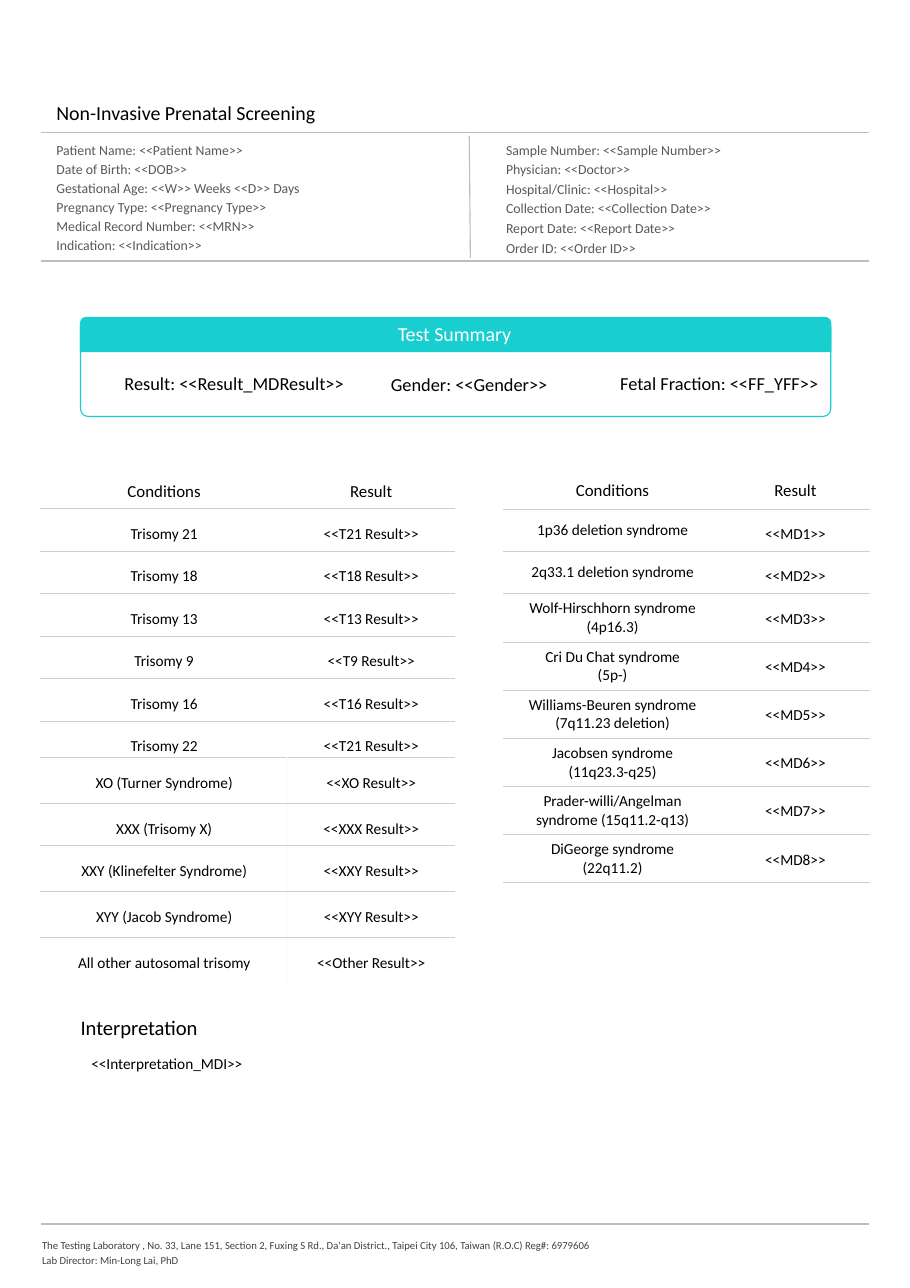
from dataclasses import dataclass
from typing import Any

import lxml.etree
import pptx
import pptx.dml.color
import pptx.enum.dml
import pptx.enum.shapes
import pptx.enum.text
import pptx.oxml.ns
import pptx.util

Pt = pptx.util.Pt
RGBColor = pptx.dml.color.RGBColor
Align = pptx.enum.text.PP_ALIGN
Anchor = pptx.enum.text.MSO_ANCHOR
Shape = pptx.enum.shapes.MSO_SHAPE
qn = pptx.oxml.ns.qn

BLACK = RGBColor(0x00, 0x00, 0x00)
WHITE = RGBColor(0xFF, 0xFF, 0xFF)
GRAY = RGBColor(0x59, 0x59, 0x59)
DARK = RGBColor(0x41, 0x41, 0x41)
RULE = RGBColor(0xBD, 0xBD, 0xBD)
GRID = RGBColor(0xCE, 0xCE, 0xCE)
FAINT = RGBColor(0xF9, 0xFA, 0xF9)
TEAL = RGBColor(0x18, 0xCE, 0xCF)

LEFT, RIGHT = 26.6, 568.1
PANEL, WIDE = 52.6, 490.3
PLAIN = (7.2, 3.6, 7.2, 3.6)
INSET = (0.9, 0.7, 0, 0)
ROOMY = (7.2, 7.2, 7.2, 7.2)


@dataclass
class Label:
    box: tuple[float, float, float, float]
    text: str
    size: float
    color: RGBColor = BLACK
    inset: tuple[float, float, float, float] = PLAIN
    align: Any = Align.LEFT
    spacing: float = 1.0
    before: float = 0
    wrap: bool = True


@dataclass
class Grid:
    left: float
    top: float
    widths: list[float]
    heights: list[float]
    rows: list[tuple[str, str]]
    middle: bool = False  # first column centred vertically
    faint: int = 99  # first row with a faint inner edge
    closed: bool = True  # last row has a visible bottom edge


def write(frame: Any, text: str, *, size: float, color: RGBColor = BLACK,
          align: Any = Align.LEFT, spacing: float = 1.0, before: float = 0) -> None:
    for n, line in enumerate(text.split("\n")):
        par = frame.paragraphs[0] if n == 0 else frame.add_paragraph()
        par.alignment = align
        par.line_spacing = spacing
        if n and before:
            par.space_before = Pt(before)
        run = par.add_run()
        run.text = line
        run.font.name = "Calibri"
        run.font.size = Pt(size)
        run.font.color.rgb = color


def set_inset(item: Any, inset: tuple[float, float, float, float]) -> None:
    item.margin_left, item.margin_top, item.margin_right, item.margin_bottom = map(Pt, inset)


def add_label(slide: Any, label: Label) -> None:
    frame = slide.shapes.add_textbox(*map(Pt, label.box)).text_frame
    frame.word_wrap = label.wrap
    frame.auto_size = pptx.enum.text.MSO_AUTO_SIZE.SHAPE_TO_FIT_TEXT
    set_inset(frame, label.inset)
    write(frame, label.text, size=label.size, color=label.color, align=label.align,
          spacing=label.spacing, before=label.before)


def add_rule(slide: Any, *ends: float) -> None:
    rule = slide.shapes.add_connector(
        pptx.enum.shapes.MSO_CONNECTOR.STRAIGHT, *map(Pt, ends))
    rule.line.color.rgb = RULE
    rule.line.width = Pt(0.75)
    lxml.etree.SubElement(rule.line._get_or_add_ln().getparent(), qn("a:effectLst"))


def add_panel(slide: Any, kind: Any, top: float, height: float,
              bends: list[float], fill: RGBColor | None = None) -> None:
    panel = slide.shapes.add_shape(kind, Pt(PANEL), Pt(top), Pt(WIDE), Pt(height))
    panel.shadow.inherit = False
    for n, bend in enumerate(bends):
        panel.adjustments[n] = bend
    if fill is None:
        panel.fill.background()
    else:
        panel.fill.solid()
        panel.fill.fore_color.rgb = fill
    panel.line.color.rgb = TEAL
    panel.line.width = Pt(0.75)


def set_edges(cell: Any, edges: dict[str, RGBColor]) -> None:
    """Put cell borders ahead of the fill, in the order L, R, T, B."""
    props = cell._tc.get_or_add_tcPr()
    for n, side in enumerate("LRTB"):
        edge = lxml.etree.Element(qn(f"a:ln{side}"), w=str(Pt(0.75)))
        fill = lxml.etree.SubElement(edge, qn("a:solidFill"))
        lxml.etree.SubElement(fill, qn("a:srgbClr"), val=str(edges[side]))
        props.insert(n, edge)


def add_grid(slide: Any, grid: Grid) -> None:
    rows = [("Conditions", "Result"), *grid.rows]
    table = slide.shapes.add_table(
        len(rows), 2, Pt(grid.left), Pt(grid.top),
        Pt(sum(grid.widths)), Pt(sum(grid.heights))).table
    table.first_row = table.horz_banding = False
    for column, width in zip(table.columns, grid.widths):
        column.width = Pt(width)
    for r, (row, height) in enumerate(zip(rows, grid.heights)):
        table.rows[r].height = Pt(height)
        for c, text in enumerate(row):
            cell = table.cell(r, c)
            cell.fill.solid()
            cell.fill.fore_color.rgb = WHITE
            inner = FAINT if r >= grid.faint else WHITE
            last = r == len(rows) - 1
            set_edges(cell, {
                "L": inner if c else WHITE,
                "R": WHITE if c else inner,
                "T": GRID if r else WHITE,
                "B": WHITE if last and not grid.closed else GRID})
            centred = grid.middle and r > 0 and c == 0
            if centred:
                cell.vertical_anchor = Anchor.MIDDLE
                set_inset(cell, PLAIN)
            else:
                set_inset(cell, (0, 4.3 if r else 8.6, 0, 0))
            write(cell.text_frame, text, size=10 if r else 11, align=Align.CENTER,
                  spacing=1.5 if r and not centred else 1.0)


PATIENT = """Patient Name: <<Patient Name>>
Date of Birth: <<DOB>>
Gestational Age: <<W>> Weeks <<D>> Days
Pregnancy Type: <<Pregnancy Type>>
Medical Record Number: <<MRN>>
Indication: <<Indication>>"""
SAMPLE = """Sample Number: <<Sample Number>>
Physician: <<Doctor>>
Hospital/Clinic: <<Hospital>>
Collection Date: <<Collection Date>>
Report Date: <<Report Date>>
Order ID: <<Order ID>>"""
FOOTER = """The Testing Laboratory , No. 33, Lane 151, Section 2, Fuxing S Rd., Da'an District., \
Taipei City 106, Taiwan (R.O.C) Reg#: 6979606
Lab Director: Min-Long Lai, PhD"""

LABELS = [
    Label((36, 64.1, 269.3, 16.6), "Non-Invasive Prenatal Screening", 13, inset=(0.9, 1.4, 0, 0)),
    Label((36, 90, 225.4, 75.6), PATIENT, 9, GRAY, INSET, spacing=1.15),
    Label((329.8, 90, 225.4, 76.3), SAMPLE, 9, GRAY, INSET, spacing=1.15, before=0.4),
    Label((LEFT, 807.1, 429.8, 33.1), FOOTER, 7, DARK, INSET, spacing=1.19),
    Label((PANEL, 661.7, 92.2, 18), "Interpretation", 13.5, inset=(0, 1.4, 0, 0)),
    Label((PANEL, 682.6, WIDE, 26.6), "<<Interpretation_MDI>>", 10, inset=ROOMY),
    Label((179.3, 203, 235.4, 30.2), "Test Summary", 13, WHITE, ROOMY, Align.CENTER),
    Label((74.2, 239.8, 167, 21.6), "Result: <<Result_MDResult>>", 12),
    Label((248.4, 240.5, 134.6, 21.6), "Gender: <<Gender>>", 12),
    Label((398.2, 239.8, 146.2, 21.6), "Fetal Fraction: <<FF_YFF>>", 12, wrap=False),
]

TRISOMY = Grid(
    LEFT, 306, [161.3, 109.4],
    [26.6, *[27.8] * 5, 23.8, 30, 27.6, *[30] * 3],
    [("Trisomy 21", "<<T21 Result>>"), ("Trisomy 18", "<<T18 Result>>"),
     ("Trisomy 13", "<<T13 Result>>"), ("Trisomy 9", "<<T9 Result>>"),
     ("Trisomy 16", "<<T16 Result>>"), ("Trisomy 22", "<<T21 Result>>"),
     ("XO (Turner Syndrome)", "<<XO Result>>"), ("XXX (Trisomy X)", "<<XXX Result>>"),
     ("XXY (Klinefelter Syndrome)", "<<XXY Result>>"),
     ("XYY (Jacob Syndrome)", "<<XYY Result>>"),
     ("All other autosomal trisomy", "<<Other Result>>")],
    faint=7, closed=False)

SYNDROMES = [
    "1p36 deletion syndrome", "2q33.1 deletion syndrome",
    "Wolf-Hirschhorn syndrome\n(4p16.3)", "Cri Du Chat syndrome\n(5p-)",
    "Williams-Beuren syndrome (7q11.23 deletion)", "Jacobsen syndrome\n(11q23.3-q25)",
    "Prader-willi/Angelman syndrome (15q11.2-q13)", "DiGeorge syndrome\n(22q11.2)"]
DELETION = Grid(
    329, 305.3, [142.6, 96.5], [27.4, *[27.7] * 2, *[31.2] * 6],
    [(name, f"<<MD{n}>>") for n, name in enumerate(SYNDROMES, 1)], middle=True)


def main() -> None:
    deck = pptx.Presentation()
    deck.slide_width, deck.slide_height = Pt(594.72), Pt(841.68)
    slide = deck.slides.add_slide(deck.slide_layouts[6])
    for y in (86.4, 170.6, 799.9):
        add_rule(slide, LEFT, y, RIGHT, y)
    add_rule(slide, 306.7, 88.6, 307.4, 168.5)
    for grid in (TRISOMY, DELETION):
        add_grid(slide, grid)
    add_panel(slide, Shape.ROUNDED_RECTANGLE, 208.8, 63.4, [0.08])
    add_panel(slide, Shape.ROUND_2_SAME_RECTANGLE, 207.4, 22.3, [0.17, 0], TEAL)
    for label in LABELS:
        add_label(slide, label)
    deck.save("out.pptx")


if __name__ == "__main__":
    main()
